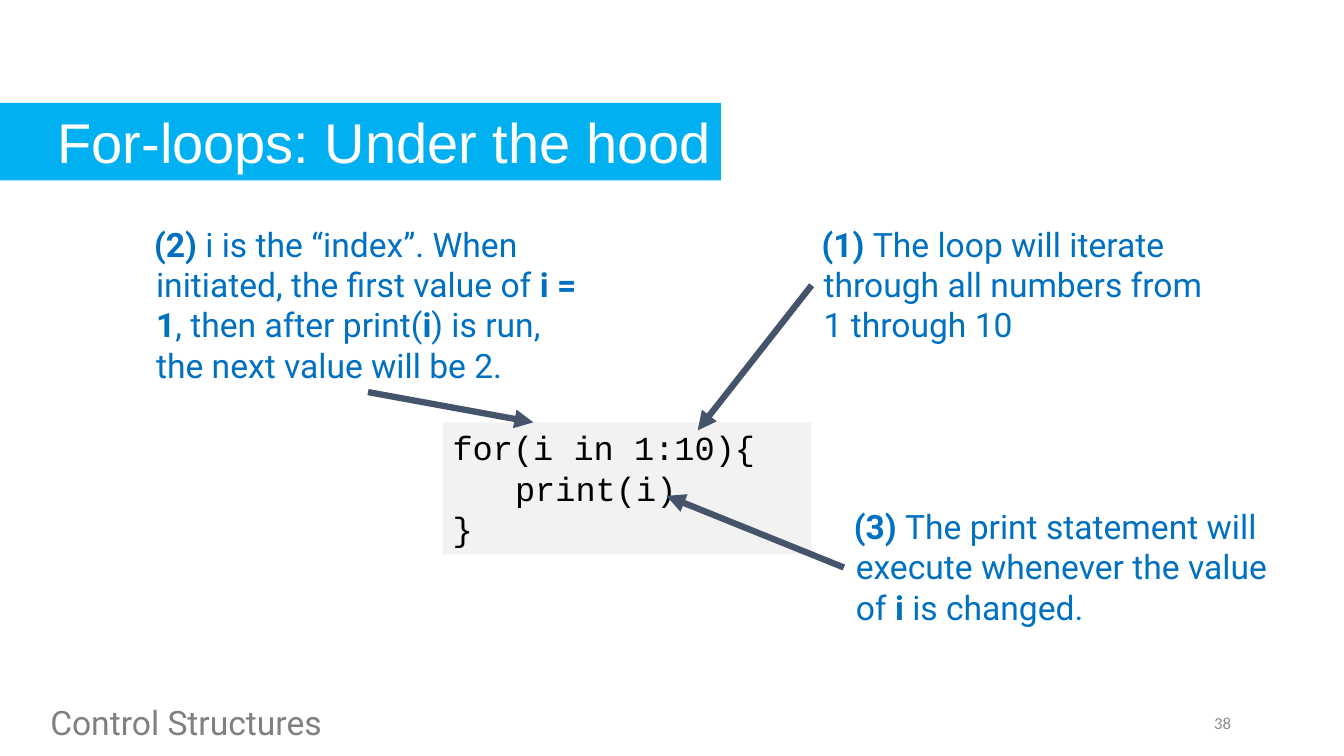
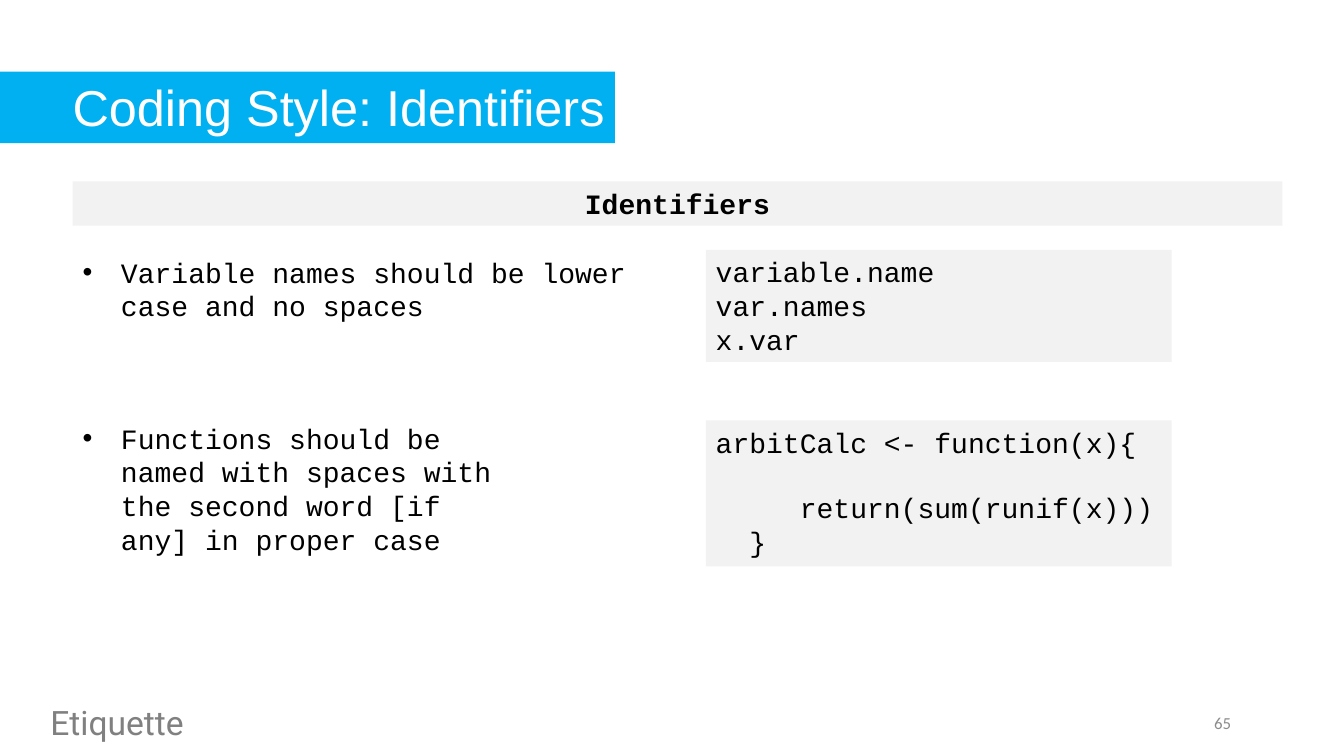
from dataclasses import dataclass

from lxml.etree import SubElement
from pptx import Presentation
from pptx.dml.color import RGBColor
from pptx.enum.shapes import MSO_CONNECTOR, MSO_SHAPE
from pptx.enum.text import MSO_ANCHOR, MSO_AUTO_SIZE, PP_ALIGN
from pptx.oxml.ns import qn
from pptx.shapes.base import BaseShape
from pptx.slide import Slide
from pptx.util import Inches, Pt


# Theme
@dataclass(frozen=True)
class Style:
    font: str
    size: int
    color: str


@dataclass(frozen=True)
class Theme:
    band: str = "00B0F0"
    panel: str = "F2F2F2"
    arrow: str = "44546A"
    arrow_width: float = 4.5
    title: Style = Style("Arial", 40, "FFFFFF")
    title_small: Style = Style("Arial", 36, "FFFFFF")
    section: Style = Style("Roboto", 24, "808080")
    number: Style = Style("Calibri", 12, "8C8C8C")
    note: Style = Style("Roboto", 24, "0070C0")
    code: Style = Style("Courier New", 24, "000000")
    code_small: Style = Style("Courier New", 20, "000000")


THEME = Theme()
TITLE_ONLY, TWO_CONTENT = 5, 3
SLIGHT, LIST_HANG, CODE_HANG = 0.02, 0.38, 0.62
CODE_GAP = 22.5  # one empty code line, in points


# Content types
@dataclass(frozen=True)
class Box:
    left: float
    top: float
    width: float
    height: float


@dataclass(frozen=True)
class Run:
    text: str
    bold: bool = False


@dataclass(frozen=True)
class Line:
    runs: tuple[Run, ...]
    space_before: float = 0


@dataclass(frozen=True)
class Note:
    box: Box
    runs: tuple[Run, ...]


@dataclass(frozen=True)
class Arrow:
    start: tuple[float, float]
    end: tuple[float, float]


@dataclass(frozen=True)
class Rule:
    text: str
    box: Box
    code_box: Box
    code: tuple[Line, ...]


def plain(text: str, space_before: float = 0) -> Line:
    return Line((Run(text),), space_before)


# Drawing functions
def place(shape: BaseShape, box: Box) -> None:
    shape.left, shape.top = Inches(box.left), Inches(box.top)
    shape.width, shape.height = Inches(box.width), Inches(box.height)


def paint(shape: BaseShape, color: str) -> None:
    shape.fill.solid()
    shape.fill.fore_color.rgb = RGBColor.from_string(color)
    shape.line.fill.background()


def write(shape: BaseShape, lines: tuple[Line, ...], style: Style,
          align: PP_ALIGN = PP_ALIGN.LEFT, hang: float = 0,
          bullet: str = "", anchor: MSO_ANCHOR = MSO_ANCHOR.TOP) -> None:
    frame = shape.text_frame
    frame.word_wrap = True
    frame.auto_size = MSO_AUTO_SIZE.NONE
    frame.vertical_anchor = anchor
    for index, line in enumerate(lines):
        paragraph = frame.add_paragraph() if index else frame.paragraphs[0]
        properties = paragraph._p.get_or_add_pPr()
        properties.set("marL", str(Inches(hang)))
        properties.set("indent", str(-Inches(hang)))
        if bullet:
            SubElement(properties, qn("a:buFont")).set("typeface", "Arial")
            SubElement(properties, qn("a:buChar")).set("char", bullet)
        paragraph.alignment = align
        paragraph.space_before = Pt(line.space_before)
        for part in line.runs:
            run = paragraph.add_run()
            run.text = part.text
            run.font.name = style.font
            run.font.size = Pt(style.size)
            run.font.bold = part.bold
            run.font.color.rgb = RGBColor.from_string(style.color)


def add_text(slide: Slide, box: Box, lines: tuple[Line, ...], style: Style,
             align: PP_ALIGN = PP_ALIGN.LEFT, hang: float = 0,
             anchor: MSO_ANCHOR = MSO_ANCHOR.TOP) -> None:
    shape = slide.shapes.add_textbox(0, 0, 0, 0)
    place(shape, box)
    write(shape, lines, style, align, hang, anchor=anchor)


def add_panel(slide: Slide, box: Box, lines: tuple[Line, ...], style: Style,
              align: PP_ALIGN = PP_ALIGN.LEFT, hang: float = 0) -> None:
    shape = slide.shapes.add_shape(MSO_SHAPE.RECTANGLE, 0, 0, 0, 0)
    shape.shadow.inherit = False
    place(shape, box)
    paint(shape, THEME.panel)
    write(shape, lines, style, align, hang)


def add_arrow(slide: Slide, arrow: Arrow) -> None:
    points = [Inches(value) for value in arrow.start + arrow.end]
    connector = slide.shapes.add_connector(MSO_CONNECTOR.STRAIGHT, *points)
    connector.line.color.rgb = RGBColor.from_string(THEME.arrow)
    connector.line.width = Pt(THEME.arrow_width)
    outline = connector.line._get_or_add_ln()
    SubElement(outline, qn("a:tailEnd")).set("type", "triangle")
    SubElement(connector._element.spPr, qn("a:effectLst"))


def start_slide(presentation: Presentation, layout: int, title: str,
                band: Box, title_style: Style, section: str,
                number: str) -> Slide:
    """Add a slide with its title band, section name and number."""
    slide = presentation.slides.add_slide(presentation.slide_layouts[layout])
    heading = slide.shapes.title
    place(heading, band)
    paint(heading, THEME.band)
    write(heading, (plain(title),), title_style, PP_ALIGN.RIGHT)
    add_text(slide, Box(9.31, 6.97, 3, 0.4), (plain(number),), THEME.number,
             PP_ALIGN.RIGHT, anchor=MSO_ANCHOR.MIDDLE)
    add_text(slide, Box(0.4, 6.91, 9.79, 0.5), (plain(section),),
             THEME.section, hang=SLIGHT)
    return slide


# For-loop slide
LOOP_CODE = (plain("for(i in 1:10){"), plain("\tprint(i)"), plain("}"))
LOOP_NOTES = (
    Note(Box(1.43, 2.17, 4.44, 1.72), (
        Run("(2) ", True),
        Run("i is the “index”. When initiated, the first value of "),
        Run("i = 1", True), Run(", then after print("), Run("i", True),
        Run(") is run, the next value will be 2."))),
    Note(Box(8.05, 2.17, 3.99, 1.31), (
        Run("(1) ", True),
        Run("The loop will iterate through all numbers from 1 through 10"))),
    Note(Box(8.37, 4.97, 4.44, 1.31), (
        Run("(3) ", True),
        Run("The print statement will execute whenever the value of "),
        Run("i ", True), Run("is changed."))),
)
LOOP_ARROWS = (
    Arrow((3.65, 3.89), (5.29, 4.19)),
    Arrow((8.05, 2.83), (6.92, 4.27)),
    Arrow((8.37, 5.63), (6.61, 4.92)),
)


def build_loop_slide(presentation: Presentation) -> None:
    slide = start_slide(presentation, TITLE_ONLY, "For-loops: Under the hood",
                        Box(0, 1.02, 7.15, 0.77), THEME.title,
                        "Control Structures", "38")
    add_panel(slide, Box(4.39, 4.19, 3.66, 1.31), LOOP_CODE, THEME.code,
              hang=CODE_HANG)
    for note in LOOP_NOTES:
        add_text(slide, note.box, (Line(note.runs),), THEME.note, hang=SLIGHT)
    for arrow in LOOP_ARROWS:
        add_arrow(slide, arrow)


# Identifiers slide
NAMING_RULES = (
    Rule("Variable names should be lower case and no spaces",
         Box(0.72, 2.48, 5.76, 0.77), Box(7, 2.48, 4.62, 1.11),
         (plain("variable.name"), plain("var.names"), plain("x.var"))),
    Rule("Functions should be named with spaces with the second word "
         "[if any] in proper case",
         Box(0.72, 4.13, 4.46, 1.45), Box(7, 4.17, 4.62, 1.45),
         (plain("arbitCalc <- function(x){"),
          plain("     return(sum(runif(x)))", CODE_GAP), plain("  }"))),
)


def build_identifiers_slide(presentation: Presentation) -> None:
    slide = start_slide(presentation, TWO_CONTENT, "Coding Style: Identifiers",
                        Box(0, 0.71, 6.1, 0.71), THEME.title_small,
                        "Etiquette", "65")
    add_panel(slide, Box(0.72, 1.8, 12, 0.44),
              (Line((Run("Identifiers", True),)),), THEME.code_small,
              PP_ALIGN.CENTER)
    bodies = list(slide.placeholders)[1:]
    for body, rule in zip(bodies, NAMING_RULES):
        place(body, rule.box)
        write(body, (plain(rule.text),), THEME.code_small, hang=LIST_HANG,
              bullet="•")
        add_panel(slide, rule.code_box, rule.code, THEME.code_small,
                  hang=SLIGHT)


def main() -> None:
    presentation = Presentation()
    presentation.slide_width = Inches(13.33)
    presentation.slide_height = Inches(7.5)
    build_loop_slide(presentation)
    build_identifiers_slide(presentation)
    presentation.save("out.pptx")


if __name__ == "__main__":
    main()
